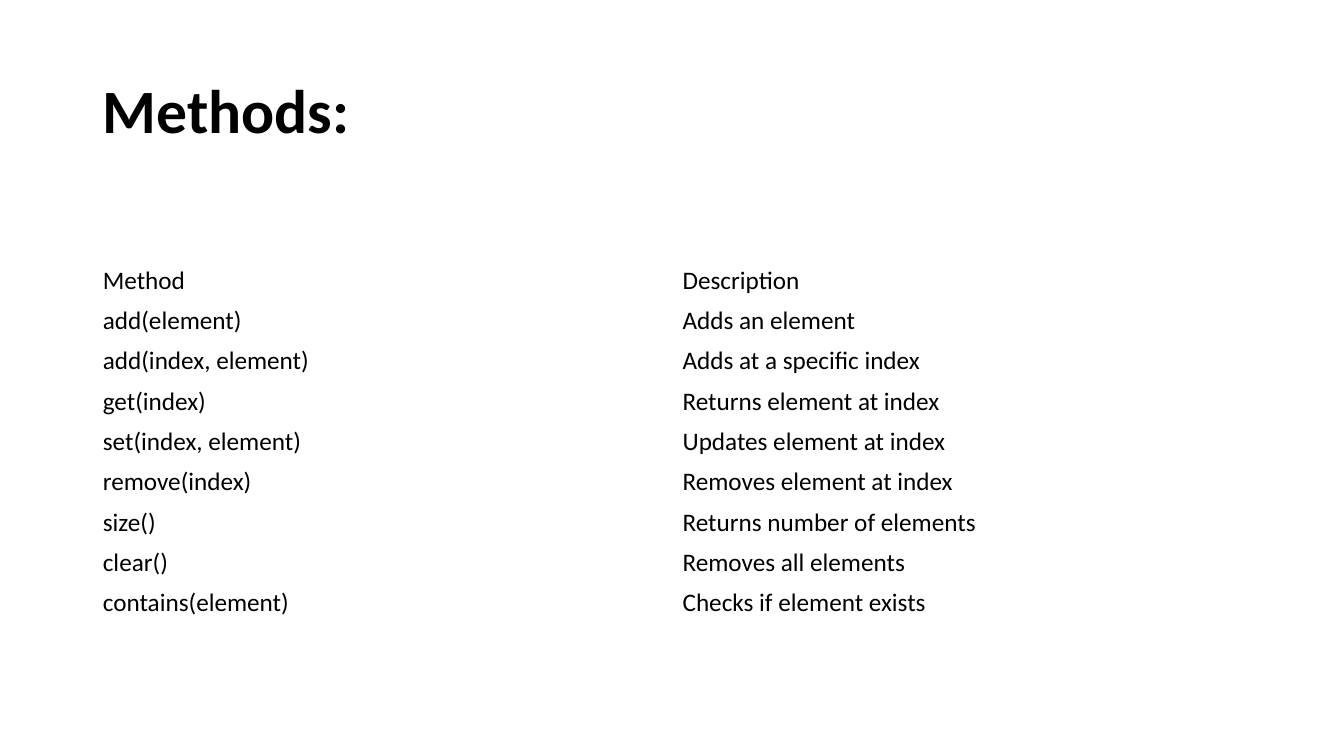
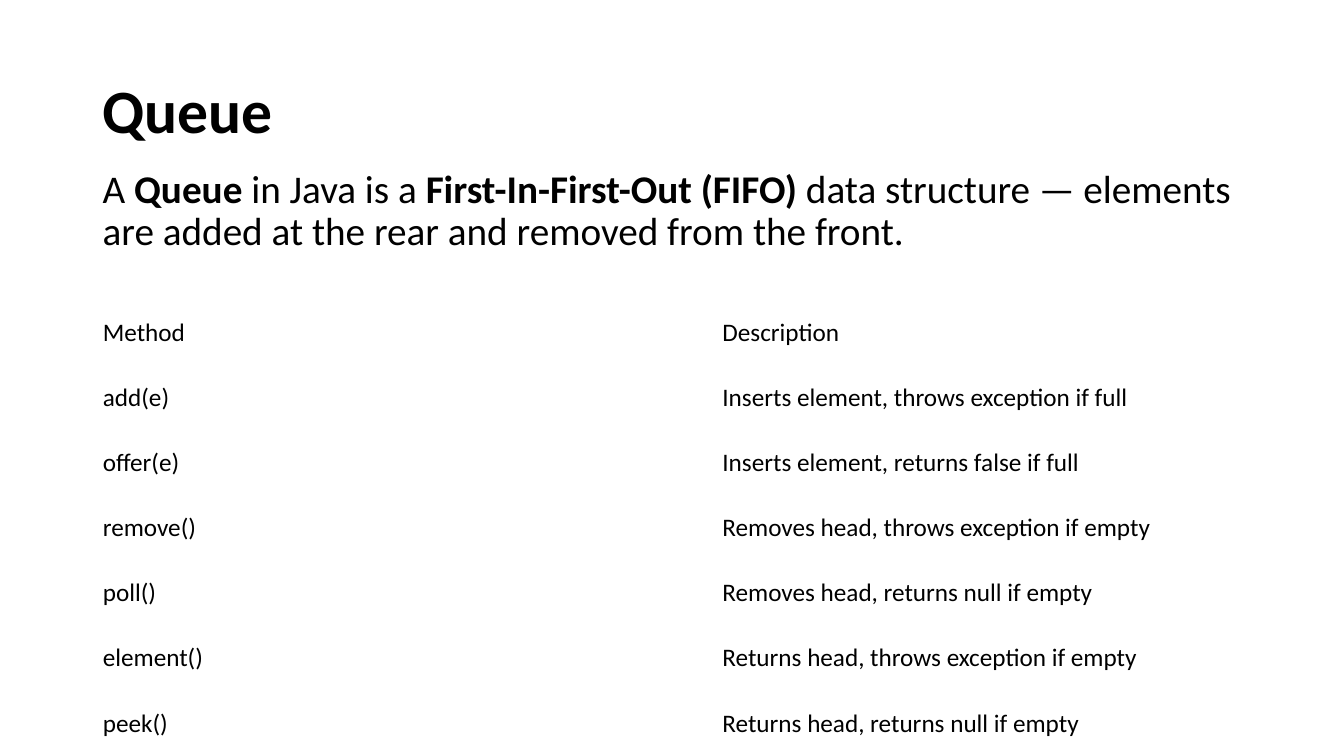
from pptx import Presentation
from pptx.dml.color import RGBColor
from pptx.enum.text import MSO_ANCHOR
from pptx.util import Inches, Pt

# Shared style
BLACK = RGBColor(0x00, 0x00, 0x00)
FONT = "Calibri"
LEFT, WIDTH = 0.92, 11.5

LIST_ROWS = [
    ("Method", "Description"),
    ("add(element)", "Adds an element"),
    ("add(index, element)", "Adds at a specific index"),
    ("get(index)", "Returns element at index"),
    ("set(index, element)", "Updates element at index"),
    ("remove(index)", "Removes element at index"),
    ("size()", "Returns number of elements"),
    ("clear()", "Removes all elements"),
    ("contains(element)", "Checks if element exists"),
]
QUEUE_ROWS = [
    ("Method", "Description"),
    ("add(e)", "Inserts element, throws exception if full"),
    ("offer(e)", "Inserts element, returns false if full"),
    ("remove()", "Removes head, throws exception if empty"),
    ("poll()", "Removes head, returns null if empty"),
    ("element()", "Returns head, throws exception if empty"),
    ("peek()", "Returns head, returns null if empty"),
]
# Text and whether it is bold
QUEUE_INTRO = [
    ("A ", False),
    ("Queue", True),
    (" in Java is a ", False),
    ("First-In-First-Out (FIFO)", True),
    (" data structure — elements are added at the rear "
     "and removed from the front.", False),
]


def style(run, size, bold=False):
    font = run.font
    font.name, font.size, font.bold = FONT, Pt(size), bold
    font.color.rgb = BLACK


def add_text(slide, box, parts, size, anchor, before=0):
    """Place one paragraph of (text, bold) parts in the box."""
    frame = slide.shapes.add_textbox(*map(Inches, box)).text_frame
    frame.word_wrap = True
    frame.vertical_anchor = anchor
    para = frame.paragraphs[0]
    para.line_spacing = 0.9
    para.space_before = Pt(before)
    for text, bold in parts:
        run = para.add_run()
        run.text = text
        style(run, size, bold)


def add_title(slide, text):
    box = (LEFT, 0.4, WIDTH, 1.45)
    add_text(slide, box, [(text, True)], 44, MSO_ANCHOR.MIDDLE)


def add_grid(slide, box, rows):
    """Fill the box with a plain table of equal rows and columns."""
    shape = slide.shapes.add_table(len(rows), len(rows[0]), *map(Inches, box))
    table = shape.table
    table.first_row = table.horz_banding = False
    for r, row in enumerate(rows):
        for c, text in enumerate(row):
            cell = table.cell(r, c)
            cell.fill.background()
            cell.vertical_anchor = MSO_ANCHOR.MIDDLE
            cell.text_frame.text = text
            style(cell.text_frame.paragraphs[0].runs[0], 18)


def add_slide(deck, title):
    slide = deck.slides.add_slide(deck.slide_layouts[6])
    add_title(slide, title)
    return slide


def main():
    deck = Presentation()
    deck.slide_width, deck.slide_height = Inches(13.33), Inches(7.5)

    # List methods
    slide = add_slide(deck, "Methods:")
    add_grid(slide, (LEFT, 2.58, WIDTH, 3.6), LIST_ROWS)

    # Queue: definition above its methods
    slide = add_slide(deck, "Queue")
    add_text(slide, (LEFT, 1.63, WIDTH, 5.13), QUEUE_INTRO, 28,
             MSO_ANCHOR.TOP, before=10)
    add_grid(slide, (LEFT, 2.98, 12.29, 4.52), QUEUE_ROWS)

    deck.save("out.pptx")


if __name__ == "__main__":
    main()
